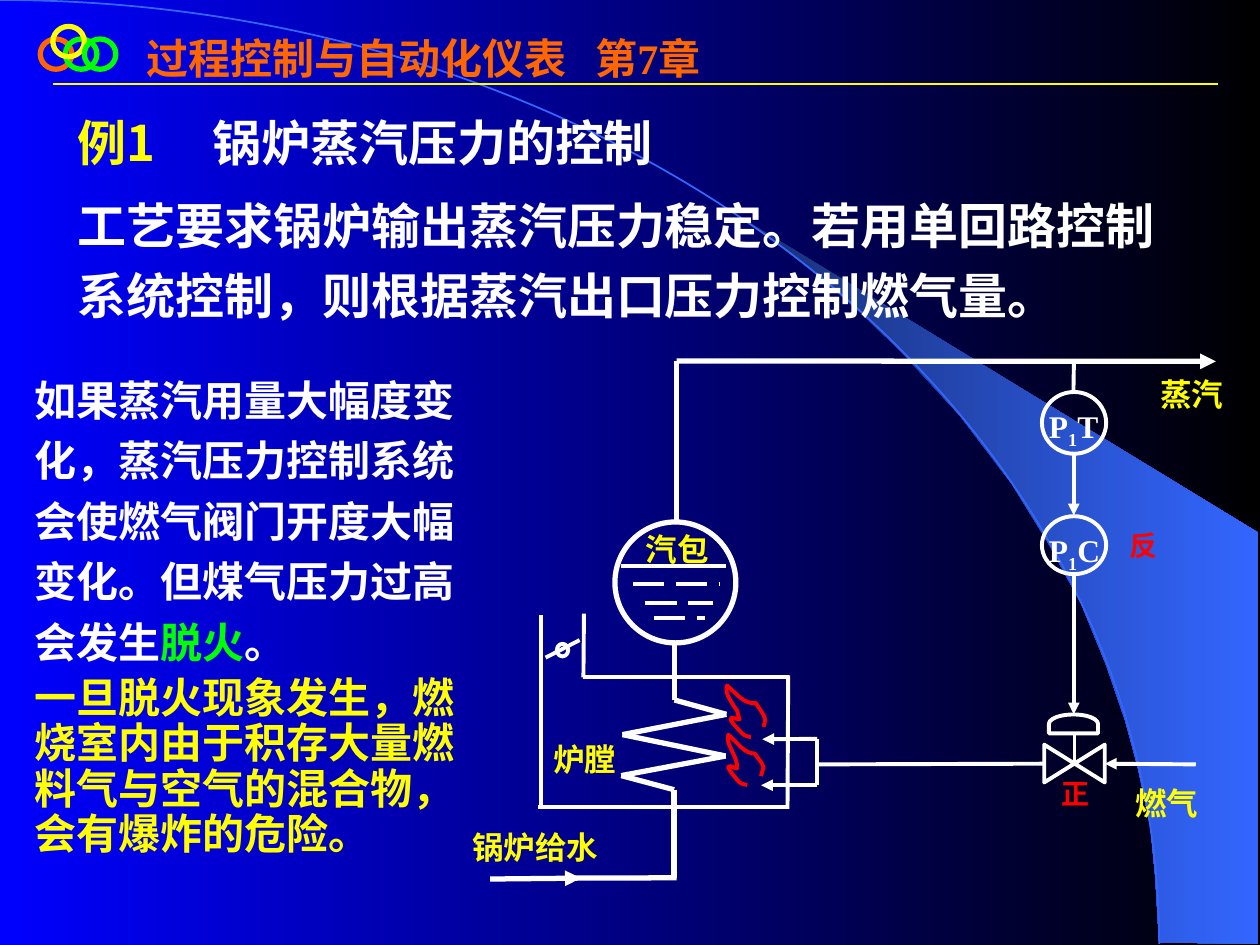
from itertools import pairwise

from lxml import etree
from pptx import Presentation
from pptx.dml.color import RGBColor
from pptx.enum.dml import MSO_LINE
from pptx.enum.shapes import MSO_CONNECTOR, MSO_SHAPE
from pptx.enum.text import PP_ALIGN
from pptx.oxml.ns import qn
from pptx.util import Pt

LEFT, JUSTIFY = PP_ALIGN.LEFT, PP_ALIGN.JUSTIFY
STRAIGHT, LONG_DASH = MSO_CONNECTOR.STRAIGHT, MSO_LINE.LONG_DASH
OVAL, JOINT = MSO_SHAPE.OVAL, MSO_SHAPE.FLOWCHART_CONNECTOR
VALVE, ACTUATOR = MSO_SHAPE.FLOWCHART_COLLATE, MSO_SHAPE.FLOWCHART_DELAY

WHITE, BLACK = RGBColor(255, 255, 255), RGBColor(0, 0, 0)
YELLOW, GREEN = RGBColor(255, 255, 0), RGBColor(0, 255, 0)
RED, ORANGE = RGBColor(255, 0, 0), RGBColor(255, 102, 0)
BLUE, SKY, NAVY = RGBColor(0, 0, 255), RGBColor(51, 102, 255), RGBColor(24, 47, 118)

SERIF, SANS = "Times New Roman", "Noto Sans CJK SC"
THIN, THICK = 2.25, 3

# Text blocks: box, size, font, space before, paragraphs (line spacing, tab, runs)
TEXT_BLOCKS = [
    ((76.6, 15.3, 606, 36), 24, SERIF, 0,
     [(1, 256.5, [("过程控制与自动化仪表\t第7章", ORANGE)])]),
    ((37.4, 54, 641.5, 135.4), 28, SANS, 7, [
        (1.2, 77, [("例1\t", YELLOW), ("锅炉蒸汽压力的控制", WHITE)]),
        (1.2, None, [("工艺要求锅炉输出蒸汽压力稳定。若用单回路控制"
                      "系统控制，则根据蒸汽出口压力控制燃气量。", WHITE)])]),
    ((12.6, 204.7, 258.5, 290.2), 24, SERIF, 6, [
        (1.2, None, [("如果蒸汽用量大幅度变化，蒸汽压力控制系统会使燃气阀门"
                      "开度大幅变化。但煤气压力过高会发生", WHITE),
                     ("脱火", GREEN), ("。", WHITE)]),
        (0.9, None, [("一旦脱火现象发生，燃烧室内由于积存大量燃料气与空气的"
                      "混合物，会有爆炸的危险。", YELLOW)])]),
]

# Diagram labels: text, box
PART_LABELS = [
    ("燃气", (641.5, 439.9, 58.3, 31.7)),
    ("锅炉给水", (262.8, 465.1, 105.1, 31.7)),
    ("蒸汽", (655.9, 206.3, 64, 31.7)),
    ("汽包", (361.9, 295.2, 64, 31.7)),
    ("炉膛", (309.2, 415.1, 57.6, 31.7)),
]
ACTION_LABELS = [("正", (599.3, 440.3, 41.8, 26.6)), ("反", (638.2, 298.5, 41.8, 26.6))]
INSTRUMENTS = [("T", (595.4, 224, 36.7, 35.3)), ("C", (595.4, 295, 36.7, 33.1))]

# Outlined shapes: kind, box, colour, width, rotation
RING = (18, 17.3)
RINGS = [((23, 22.3), ORANGE), ((37.4, 22.3), GREEN),
         ((30.2, 15.1), YELLOW), ((48.2, 22.3), GREEN)]
OUTLINES = [
    (OVAL, (351.4, 298.3, 69.1, 69.1), WHITE, THICK, 0),
    (JOINT, (318.2, 367.9, 6.5, 7.2), WHITE, THIN, 0),
    (VALVE, (603.2, 419, 21.6, 34.6), WHITE, THIN, 270),
    (ACTUATOR, (608, 399.6, 10.8, 28.1), WHITE, THIN, 270),
]

# Pipes and walls: points, width, arrow at the end
ROUTES = [
    ([(308.9, 351.4), (308.9, 461.3)], THIN, False),
    ([(307.4, 461.3), (450, 461.3)], THIN, False),
    ([(450.4, 385.9), (450, 462.2)], THIN, False),
    ([(333.7, 350.6), (333.4, 387.1), (450.7, 387.1)], THIN, False),
    ([(468, 436.8), (597.6, 436.4)], THIN, False),
    ([(683.3, 436.8), (631.4, 436.4)], THIN, True),
    ([(466.9, 448.7), (434.9, 448.7)], THIN, True),
    ([(466.9, 422.2), (435.6, 422.4)], THIN, True),
    ([(466.9, 422.2), (466.9, 448.7)], THIN, False),
    ([(354.9, 323.3), (414.7, 323.3)], THIN, False),
    ([(385.4, 367.9), (385.4, 400), (415.1, 408.2), (355.7, 419.8), (414.7, 432),
      (355, 443.2), (385.2, 451.3), (385.2, 501.5)], THICK, False),
    ([(386.6, 501.6), (328.3, 501.8)], THICK, False),
    ([(280.1, 502.3), (331.9, 501.8)], THICK, True),
    ([(386.6, 298.1), (386.6, 206.3)], THICK, False),
    ([(386.6, 206.3), (694.8, 206.5)], THICK, True),
    ([(613.7, 206.6), (613.4, 223.9)], THIN, False),
    ([(613.6, 259.2), (613.6, 294.5)], THIN, True),
    ([(613.6, 326.9), (613.6, 408.2)], THIN, True),
    ([(614, 419), (614, 437)], THIN, False),
    ([(311.8, 375.8), (331.2, 365.8)], THIN, False),
]
WATER_DASHES = [(361.6, 411.7, 333.9), (368.8, 407.4, 344.4), (373.5, 402.9, 353.4)]

# Curves: a start point, then control, control, end for each Bezier piece
ARC = [(0, 0), (365.8, 0), (662.4, 241.2), (662.4, 539.3)]
FLAMES = [
    [(429.1, 421.2), (427.7, 420.5), (426.2, 421.2), (424.8, 419.8),
     (412.6, 407.5), (418.3, 410.4), (422.6, 411.1), (421.9, 409.7),
     (421.9, 408.2), (421.2, 406.1), (420.5, 405.4), (415.4, 397.4),
     (415.4, 396), (414.7, 394.6), (415.4, 393.1), (415.4, 391.7),
     (421.9, 397.4), (425.5, 402.5), (432, 401.8), (433.4, 404.6),
     (436.3, 407.5), (437, 410.4), (437.8, 412.6), (436.3, 413.3), (436.3, 415.4)],
    [(427, 448.6), (425.5, 447.8), (424.1, 448.6), (422.6, 447.1),
     (411.8, 434.9), (416.9, 437.8), (421.2, 439.2), (421.2, 437),
     (421.2, 435.6), (420.5, 434.2), (420.5, 433.4), (416.2, 424.8),
     (416.2, 424.1), (415.4, 422.6), (416.2, 421.2), (416.2, 419.8),
     (422.6, 425.5), (425.5, 430.6), (431.3, 430.6), (432.7, 432.7),
     (435.6, 435.6), (436.3, 438.5), (436.3, 440.6), (434.9, 441.4), (434.9, 443.5)],
]
BEAM = [(662.4, 538.6), (719.3, 539.3), (719.3, 304.6), (424.1, 124.6), (449.3, 143.3),
        (470.2, 159.8), (493.2, 180), (515.5, 201.6), (548.6, 237.6), (578.2, 276.5),
        (599, 310.3), (617.8, 344.9), (632.2, 380.2), (643, 411.8), (650.2, 438.5),
        (657.4, 472.3), (660.2, 501.1)]


def set_gradient(fill, colours):
    fill.gradient()
    fill.gradient_angle = 0
    for stop, colour in zip(fill.gradient_stops, colours):
        stop.color.rgb = colour


def set_outline(shape, colour, width):
    shape.shadow.inherit = False
    shape.fill.background()
    shape.line.color.rgb = colour
    shape.line.width = Pt(width)


def add_outline(slide, kind, box, colour, width, rotation=0):
    shape = slide.shapes.add_shape(kind, *map(Pt, box))
    set_outline(shape, colour, width)
    shape.rotation = rotation


def add_line(slide, start, end, colour, width, arrow=False):
    line = slide.shapes.add_connector(STRAIGHT, *map(Pt, (*start, *end)))
    line.line.color.rgb = colour
    line.line.width = Pt(width)
    if arrow:
        etree.SubElement(line.line._get_or_add_ln(), qn("a:tailEnd"), type="triangle")
    etree.SubElement(line._element.spPr, qn("a:effectLst"))
    return line


def add_freeform(slide, points, close=False):
    points = [(Pt(x), Pt(y)) for x, y in points]
    builder = slide.shapes.build_freeform(*points[0])
    builder.add_line_segments(points[1:], close=close)
    shape = builder.convert_to_shape()
    shape.shadow.inherit = False
    return shape


def add_curve(slide, controls, colour, width):
    shape = add_freeform(slide, controls)
    set_outline(shape, colour, width)
    # Join every three straight segments into one Bezier piece
    segments = list(shape._element.iter(qn("a:lnTo")))
    for first in range(0, len(segments), 3):
        piece = segments[first]
        piece.tag = qn("a:cubicBezTo")
        for segment in segments[first + 1:first + 3]:
            piece.append(segment[0])
            segment.getparent().remove(segment)


def add_text(slide, box, size, font, space, paragraphs, alignment=LEFT):
    frame = slide.shapes.add_textbox(*map(Pt, box)).text_frame
    frame.word_wrap = True
    for index, (spacing, tab, runs) in enumerate(paragraphs):
        paragraph = frame.add_paragraph() if index else frame.paragraphs[0]
        paragraph.alignment = alignment
        paragraph.line_spacing = spacing
        if index:
            paragraph.space_before = Pt(space)
        if tab:
            tabs = etree.SubElement(paragraph._p.get_or_add_pPr(), qn("a:tabLst"))
            etree.SubElement(tabs, qn("a:tab"), pos=str(Pt(tab)), algn="l")
        paragraph.font.size = Pt(size)
        paragraph.font.name = font
        paragraph.font.bold = True
        for text, colour, *baseline in runs:
            run = paragraph.add_run()
            run.text = text
            run.font.color.rgb = colour
            if baseline:
                run._r.get_or_add_rPr().set("baseline", baseline[0])


presentation = Presentation()
presentation.slide_width, presentation.slide_height = Pt(720), Pt(540)
slide = presentation.slides.add_slide(presentation.slide_layouts[6])

# Background, beam and arc
set_gradient(slide.background.fill, (BLUE, BLACK))
beam = add_freeform(slide, BEAM, close=True)
set_gradient(beam.fill, (NAVY, SKY))
beam.line.fill.background()
add_curve(slide, ARC, SKY, 1)

# Header rule and rings
add_line(slide, (30.2, 48), (696.2, 48), YELLOW, 1.5)
for corner, colour in RINGS:
    add_outline(slide, OVAL, corner + RING, colour, THICK)

# Boiler, piping and flames
for outline in OUTLINES:
    add_outline(slide, *outline)
for points, width, arrow in ROUTES:
    for start, end in pairwise(points):
        add_line(slide, start, end, WHITE, width, arrow)
for left, right, y in WATER_DASHES:
    add_line(slide, (left, y), (right, y), WHITE, THIN).line.dash_style = LONG_DASH
for flame in FLAMES:
    add_curve(slide, flame, RED, THIN)

# Instruments and labels
for letter, box in INSTRUMENTS:
    add_outline(slide, OVAL, box, WHITE, THIN)
    runs = [("P", WHITE), ("1", WHITE, "-25000"), (letter, WHITE)]
    add_text(slide, (592.3, box[1], 46.1, 25.9), 18, SERIF, 0, [(1.2, None, runs)], JUSTIFY)
for text, box in PART_LABELS:
    add_text(slide, box, 18, SERIF, 0, [(1.2, None, [(text, YELLOW)])], JUSTIFY)
for text, box in ACTION_LABELS:
    add_text(slide, box, 16, SERIF, 0, [(1, None, [(text, RED)])])

# Title and explanations
for block in TEXT_BLOCKS:
    add_text(slide, *block)

presentation.save("out.pptx")
